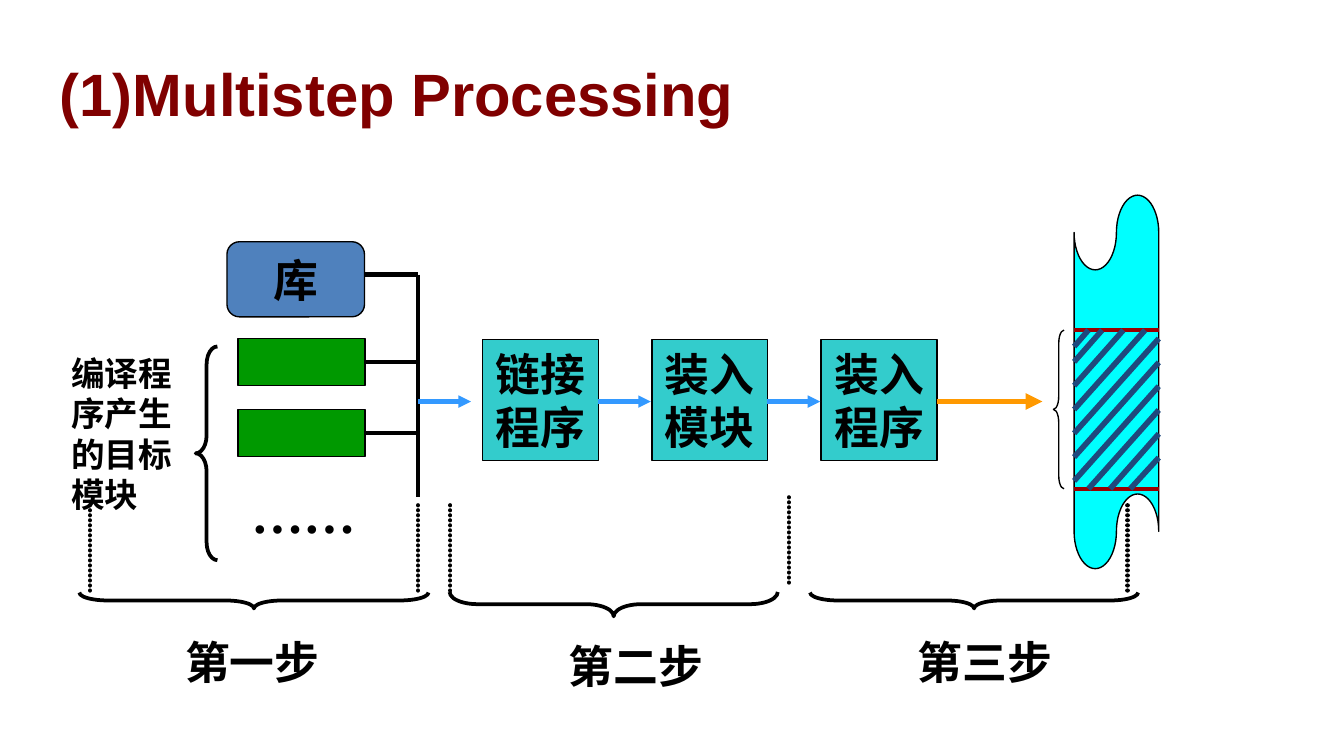
from pptx import Presentation
from pptx.dml.color import RGBColor
from pptx.enum.shapes import MSO_CONNECTOR, MSO_SHAPE
from pptx.enum.text import MSO_ANCHOR, PP_ALIGN
from pptx.oxml.ns import qn
from pptx.util import Cm, Pt
from lxml import etree

COLORS = {
    "ink": "000000", "title": "800000", "library": "4F81BD", "module": "009900",
    "stage": "33CCCC", "flow": "3399FF", "load": "FF9900", "memory": "00FFFF",
    "bound": "990000", "hatch": "1F497D",
}

deck = Presentation()
deck.slide_width, deck.slide_height = Cm(25.4), Cm(14.29)
slide = deck.slides.add_slide(deck.slide_layouts[6])


def add_block(kind, box, fill=None, lines=(), size=24, font="Times New Roman",
              color="ink", align=PP_ALIGN.LEFT, anchor=MSO_ANCHOR.TOP,
              wrap=False, weight=0.75):
    """Add a text box (kind None) or a preset shape, with one paragraph per line."""
    place = [Cm(v) for v in box]
    if kind is None:
        block = slide.shapes.add_textbox(*place)
    else:
        block = slide.shapes.add_shape(kind, *place)
        block.shadow.inherit = False
        block.line.color.rgb = RGBColor.from_string(COLORS["ink"])
        block.line.width = Pt(weight)
        if fill:
            block.fill.solid()
            block.fill.fore_color.rgb = RGBColor.from_string(COLORS[fill])
        else:
            block.fill.background()
    frame = block.text_frame
    frame.word_wrap = wrap
    frame.vertical_anchor = anchor
    for i, line in enumerate(lines):
        paragraph = frame.paragraphs[0] if i == 0 else frame.add_paragraph()
        paragraph.alignment = align
        run = paragraph.add_run()
        run.text = line
        run.font.size, run.font.bold, run.font.name = Pt(size), True, font
        run.font.color.rgb = RGBColor.from_string(COLORS[color])
    return block


def add_line(x1, y1, x2, y2, color="ink", weight=2.25, arrow=False, dotted=False):
    line = slide.shapes.add_connector(
        MSO_CONNECTOR.STRAIGHT, Cm(x1), Cm(y1), Cm(x2), Cm(y2))
    line.line.color.rgb = RGBColor.from_string(COLORS[color])
    line.line.width = Pt(weight)
    stroke = line.line._get_or_add_ln()
    if dotted:
        # Round dots that almost touch
        stroke.set("cap", "rnd")
        dashes = etree.SubElement(stroke, qn("a:custDash"))
        etree.SubElement(dashes, qn("a:ds"), d="100000", sp="20000")
    if arrow:
        etree.SubElement(stroke, qn("a:tailEnd"), type="triangle")
    etree.SubElement(line._element.spPr, qn("a:effectLst"))


# Title
add_block(None, (0.88, 1.12, 22.86, 1.44), lines=["(1)Multistep Processing"], size=32,
          font="Arial", color="title", anchor=MSO_ANCHOR.BOTTOM, wrap=True)

# Dotted limits of the steps
for x, top in [(21.31, 9.55), (1.7, 9.55), (7.9, 9.55), (8.51, 9.55), (14.91, 9.4)]:
    add_line(x, top, x, top + 1.65, dotted=True)

# Library and object modules
library = add_block(MSO_SHAPE.ROUNDED_RECTANGLE, (4.29, 4.57, 2.6, 1.42), "library",
                    ["库"], align=PP_ALIGN.CENTER, anchor=MSO_ANCHOR.MIDDLE, wrap=True)
library.adjustments[0] = 0.167
for y in (6.4, 7.74):
    add_block(MSO_SHAPE.RECTANGLE, (4.5, y, 2.4, 0.89), "module")
add_block(None, (4.5, 8.97, 2.9, 1.45), lines=["……"], size=28)
add_block(None, (1.1, 6.55, 2.64, 3.3), lines=["编译程序产生的目标模块"], size=18, wrap=True)

# Collecting bus
for y in (5.19, 6.84, 8.19):
    add_line(6.9, y, 7.9, y)
add_line(7.9, 5.19, 7.9, 9.4)

# Linker, load module and loader with their arrows
flow_y = 7.59
stages = [("链接", "程序"), ("装入", "模块"), ("装入", "程序")]
for i, stage in enumerate(stages):
    left = 9.12 + 3.2 * i
    add_block(MSO_SHAPE.RECTANGLE, (left, 6.42, 2.19, 2.29), "stage", stage,
              align=PP_ALIGN.CENTER, anchor=MSO_ANCHOR.MIDDLE)
for x in (7.9, 11.3, 14.5):
    add_line(x, flow_y, x + 1, flow_y, "flow", arrow=True)
add_line(17.7, flow_y, 19.7, flow_y, "load", 3, arrow=True)

# Memory tape with the loaded area
left, right, top, bottom = 20.3, 21.9, 6.24, 9.24
add_block(MSO_SHAPE.FLOWCHART_PUNCHED_TAPE, (left, 3.69, right - left, 7.06), "memory")
for y in (top, bottom):
    add_line(left, y, right, y, "bound")

# Hatching runs from the top and right edges to the left and bottom edges
starts = [(x, top) for x in (20.57, 20.83, 21.23, 21.64)]
starts += [(right, 6.4 + 0.45 * i) for i in range(6)]
ends = [(left, 6.55)] + [(left, 6.84 + 0.45 * i) for i in range(6)]
ends += [(x, bottom) for x in (20.57, 20.98, 21.36)]
for start, end in zip(starts, ends):
    add_line(*start, *end, "hatch", 3)

# Braces: box before turning, curve, turn, weight
braces = [
    ((3.7, 6.55, 0.41, 4.04), 0.83, 0, 2),
    ((4.65, 8.05, 0.3, 6.6), 1.8, 270, 2),
    ((11.37, 8.32, 0.46, 6.2), 1.13, 270, 2),
    ((18.26, 8.25, 0.3, 6.2), 1.74, 270, 2),
    ((19.91, 6.24, 0.2, 3), 1.25, 0, 0.75),
]
for box, curve, turn, weight in braces:
    brace = add_block(MSO_SHAPE.LEFT_BRACE, box, weight=weight)
    brace.adjustments[0] = curve
    brace.rotation = turn

# Step names
for x, y, step in [(3.25, 11.87, "第一步"), (10.5, 11.94, "第二步"), (17.1, 11.87, "第三步")]:
    add_block(None, (x, y, 3.05, 1.27), lines=[step])

deck.save("out.pptx")
